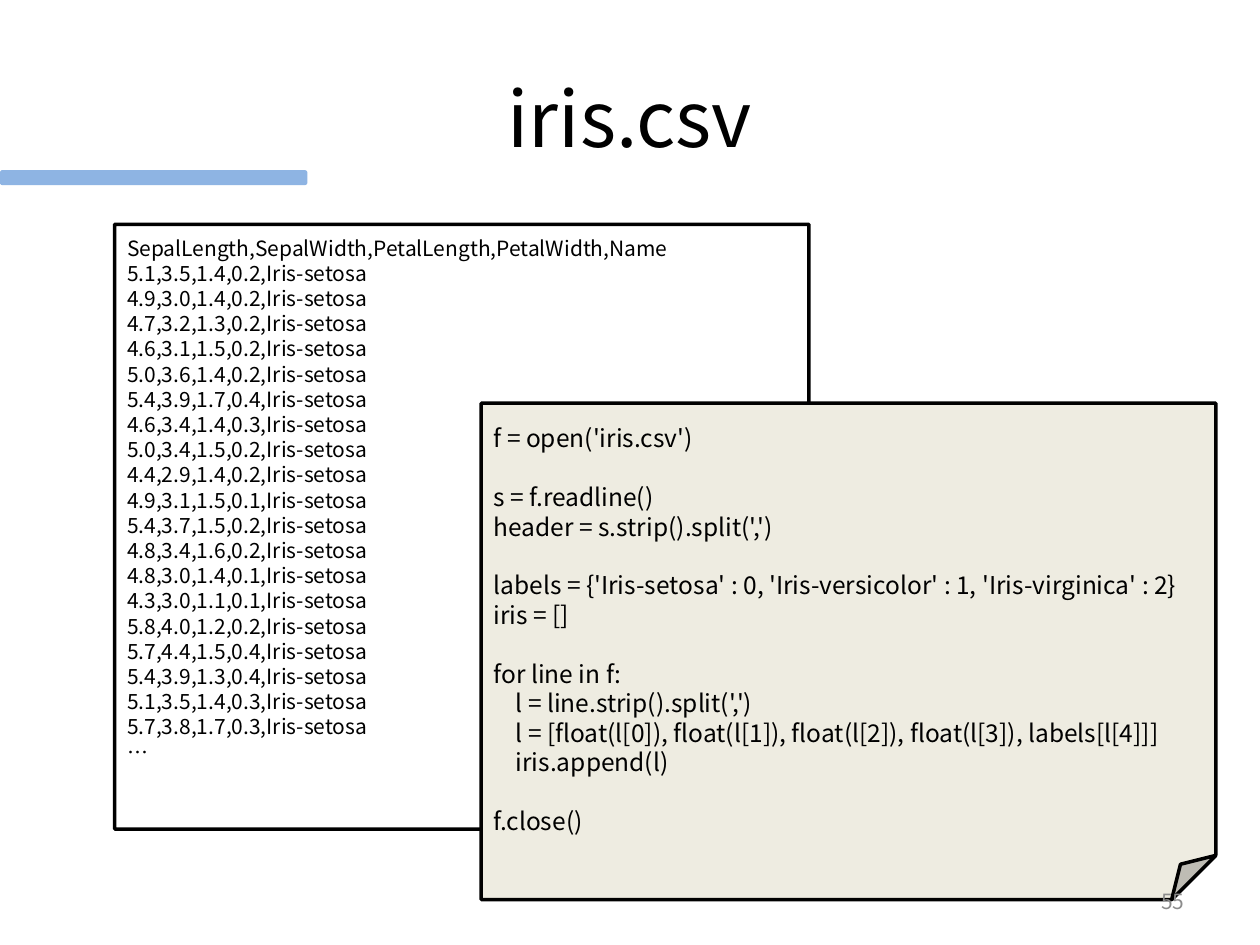
"""Build the iris.csv slide with its data sheet and reading code."""
from lxml.etree import SubElement
from pptx import Presentation
from pptx.dml.color import RGBColor
from pptx.enum.shapes import MSO_SHAPE as Shape
from pptx.enum.text import MSO_ANCHOR as Anchor, PP_ALIGN as Align
from pptx.oxml.ns import qn
from pptx.util import Pt

FONT = "Noto Sans CJK KR"


def color(code):
    return RGBColor.from_string(code)


def write(shape, lines, size, align=Align.LEFT, ink="000000"):
    frame = shape.text_frame
    frame.word_wrap = True
    frame.vertical_anchor = Anchor.MIDDLE
    frame.text = "\n".join(lines)
    for para in frame.paragraphs:
        para.alignment = align
        para.line_spacing = Pt(size * 1.2)
        para.font.name = FONT
        para.font.size = Pt(size)
        para.font.color.rgb = color(ink)
    return frame.paragraphs


deck = Presentation()
deck.slide_width, deck.slide_height = Pt(720), Pt(540)
slide = deck.slides.add_slide(deck.slide_layouts[6])
shapes = slide.shapes

title = shapes.add_textbox(Pt(36), Pt(21.6), Pt(648), Pt(90))
write(title, ["iris.csv"], 44, Align.CENTER)

values = """5.1,3.5,1.4,0.2 4.9,3.0,1.4,0.2 4.7,3.2,1.3,0.2 4.6,3.1,1.5,0.2
5.0,3.6,1.4,0.2 5.4,3.9,1.7,0.4 4.6,3.4,1.4,0.3 5.0,3.4,1.5,0.2
4.4,2.9,1.4,0.2 4.9,3.1,1.5,0.1 5.4,3.7,1.5,0.2 4.8,3.4,1.6,0.2
4.8,3.0,1.4,0.1 4.3,3.0,1.1,0.1 5.8,4.0,1.2,0.2 5.7,4.4,1.5,0.4
5.4,3.9,1.3,0.4 5.1,3.5,1.4,0.3 5.7,3.8,1.7,0.3""".split()
data = ["SepalLength,SepalWidth,PetalLength,PetalWidth,Name"]
data += [f"{row},Iris-setosa" for row in values] + ["…"]

blocks = [
    ["f = open('iris.csv')"],
    ["s = f.readline()", "header = s.strip().split(',')"],
    ["labels = {'Iris-setosa' : 0, 'Iris-versicolor' : 1, 'Iris-virginica' : 2}",
     "iris = []"],
    ["for line in f:",
     "l = line.strip().split(',')",
     "l = [float(l[0]), float(l[1]), float(l[2]), float(l[3]), labels[l[4]]]",
     "iris.append(l)"],
    ["f.close()"],
]
code = [line for block in blocks for line in block]

sheets = [
    (65.5, 128.2, 396.7, 345.6, "FFFFFF", data, 12),
    (275, 230.4, 419.8, 283.7, "EEECE1", code, 14),
]
for left, top, width, height, fill, lines, size in sheets:
    sheet = shapes.add_shape(Shape.FOLDED_CORNER, Pt(left), Pt(top), Pt(width), Pt(height))
    guides = sheet._element.spPr.find(qn("a:prstGeom")).get_or_add_avLst()
    SubElement(guides, qn("a:gd"), name="adj", fmla="val 8900")
    sheet.shadow.inherit = False
    sheet.fill.solid()
    sheet.fill.fore_color.rgb = color(fill)
    sheet.line.color.rgb = color("000000")
    sheet.line.width = Pt(2)
    paras = write(sheet, lines, size)

for block in blocks[1:]:
    paras[code.index(block[0])].space_before = Pt(16.8)
loop = code.index("for line in f:")
for para in paras[loop + 1:loop + 4]:
    para._p.get_or_add_pPr().set("marL", str(Pt(12.6)))

number = shapes.add_textbox(Pt(516), Pt(500.4), Pt(168), Pt(28.8))
write(number, ["55"], 12, Align.RIGHT, "8C8C8C")

bar = shapes.add_shape(Shape.ROUNDED_RECTANGLE, Pt(0), Pt(97.2), Pt(175.7), Pt(8.6))
bar.shadow.inherit = False
bar.fill.solid()
bar.fill.fore_color.rgb = color("8EB4E3")
bar.line.fill.background()

deck.save("out.pptx")
